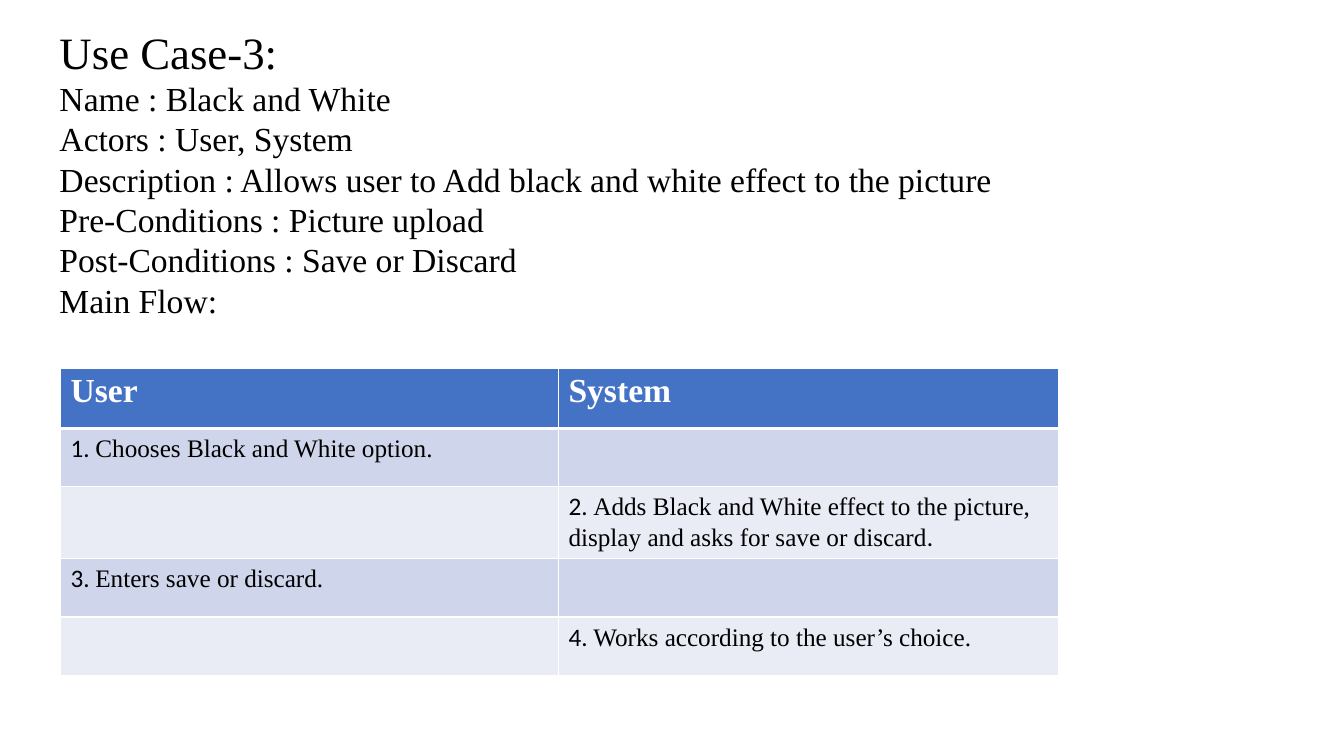
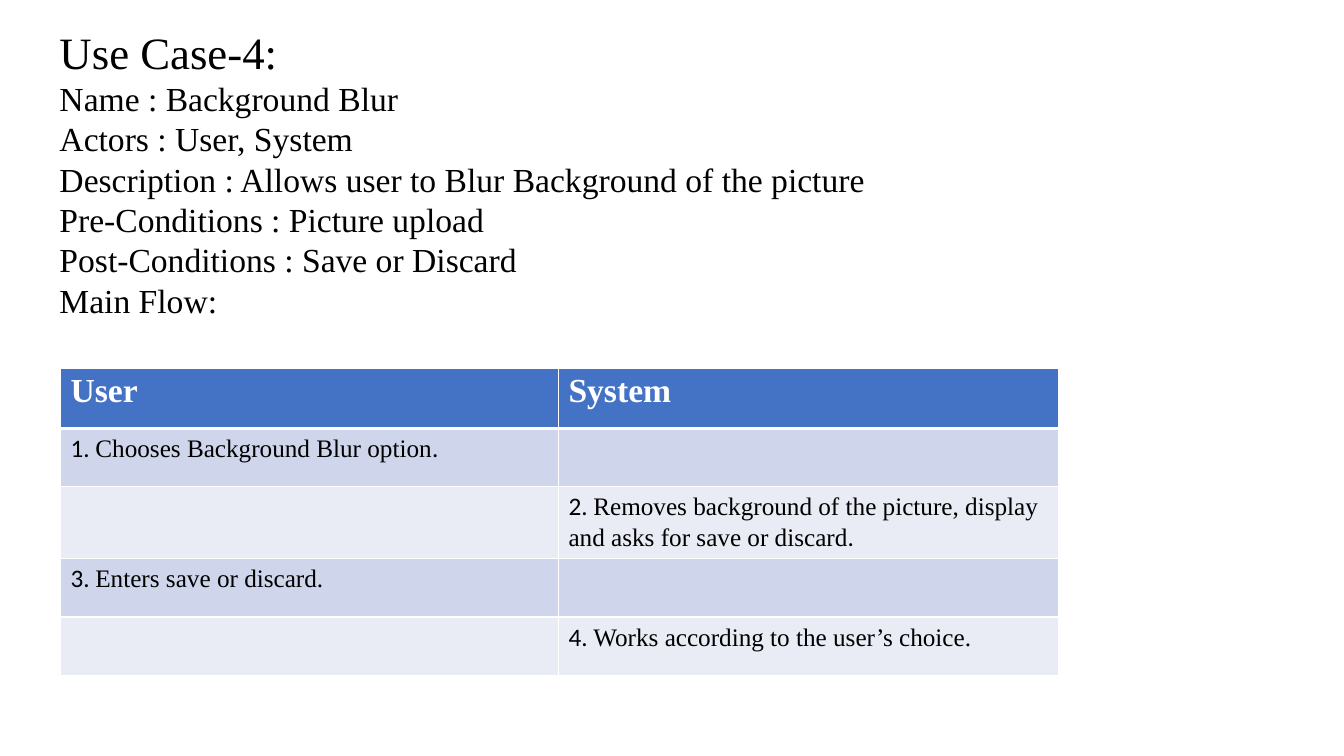
from pptx import Presentation
from pptx.dml.color import RGBColor
from pptx.enum.text import MSO_ANCHOR, MSO_AUTO_SIZE, PP_ALIGN
from pptx.oxml import parse_xml
from pptx.oxml.ns import nsdecls
from pptx.util import Pt

COLORS = {"text": "000000", "white": "FFFFFF", "header": "4472C4",
          "odd": "CFD5EA", "even": "E9EBF5"}
SERIF, SANS = "Times New Roman", "Calibri"
STEP_FONTS = (SANS, SERIF, SANS)
LINE_FACTOR = 1.2
LEFT, TEXT_WIDTH = 35.3, 900
COLUMNS = (355.7, 357.1)
HEADER_HEIGHT, ROW_HEIGHT = 43.2, 41.8

USE_CASES = [
    {"number": 3, "name": "Black and White",
     "goal": "Add black and white effect to the picture",
     "choice": ("Chooses Black and White option.",),
     "response": "Adds Black and White effect to the picture, "
                 "display and asks for save or discard"},
    {"number": 4, "name": "Background Blur",
     "goal": "Blur Background of the picture",
     "choice": ("Chooses Background Blur option", "."),
     "response": "Removes background of the picture, "
                 "display and asks for save or discard"},
]


def add_run(p, text, size, font=SERIF, color="text", bold=False):
    r = p.add_run()
    r.text = text
    r.font.name = font
    r.font.size = Pt(size)
    r.font.bold = bold
    r.font.color.rgb = RGBColor.from_string(COLORS[color])


def fill_placeholder(sp, top, height, lines, size, inset_top=0):
    sp.left, sp.top = Pt(LEFT), Pt(top)
    sp.width, sp.height = Pt(TEXT_WIDTH), Pt(height)
    tf = sp.text_frame
    tf.word_wrap = True
    tf.auto_size = MSO_AUTO_SIZE.NONE
    tf.vertical_anchor = MSO_ANCHOR.TOP
    tf.margin_left = tf.margin_right = Pt(7.2)
    tf.margin_top, tf.margin_bottom = Pt(inset_top), Pt(0)
    for i, line in enumerate(lines):
        p = tf.add_paragraph() if i else tf.paragraphs[0]
        p.alignment = PP_ALIGN.LEFT
        p.line_spacing = Pt(size * LINE_FACTOR)
        p.space_before = p.space_after = Pt(0)
        pPr = p._p.get_or_add_pPr()
        pPr.set("marL", "0")
        pPr.set("indent", "0")
        pPr.append(parse_xml(f"<a:buNone {nsdecls('a')}/>"))
        add_run(p, line, size)


def set_borders(cell, top, bottom):
    tcPr = cell._tc.get_or_add_tcPr()
    widths = {"lnL": 1, "lnR": 1, "lnT": top, "lnB": bottom}
    for i, (tag, width) in enumerate(widths.items()):
        tcPr.insert(i, parse_xml(
            f'<a:{tag} {nsdecls("a")} w="{Pt(width)}"><a:solidFill>'
            f'<a:srgbClr val="{COLORS["white"]}"/></a:solidFill></a:{tag}>'))


def add_flow_table(s, steps):
    rows = len(steps) + 1
    table = s.shapes.add_table(
        rows, len(COLUMNS), Pt(43.2), Pt(262.8), Pt(sum(COLUMNS)),
        Pt(HEADER_HEIGHT + ROW_HEIGHT * len(steps))).table
    for column, width in zip(table.columns, COLUMNS):
        column.width = Pt(width)
    for i, row in enumerate(table.rows):
        row.height = Pt(ROW_HEIGHT if i else HEADER_HEIGHT)
        band = "header" if i == 0 else "odd" if i % 2 else "even"
        for cell in row.cells:
            cell.fill.solid()
            cell.fill.fore_color.rgb = RGBColor.from_string(COLORS[band])
            set_borders(cell, top=3 if i == 1 else 1, bottom=1 if i else 3)
    for j, heading in enumerate(("User", "System")):
        p = table.cell(0, j).text_frame.paragraphs[0]
        add_run(p, heading, 24, color="white", bold=True)
    for i, step in enumerate(steps, 1):
        p = table.cell(i, (i - 1) % 2).text_frame.paragraphs[0]
        for text, font in zip((f"{i}. ", *step), STEP_FONTS):
            add_run(p, text, 18, font)


def add_use_case(prs, case):
    s = prs.slides.add_slide(prs.slide_layouts[1])
    details = [
        f"Name : {case['name']}",
        "Actors : User, System",
        f"Description : Allows user to {case['goal']}",
        "Pre-Conditions : Picture upload",
        "Post-Conditions : Save or Discard",
        "Main Flow:",
    ]
    fill_placeholder(s.shapes.title, 13.7, 42,
                     [f"Use Case-{case['number']}:"], 32, inset_top=3.6)
    fill_placeholder(s.placeholders[1], 55.7, 174, details, 24)
    add_flow_table(s, [
        case["choice"],
        (case["response"], "."),
        ("Enters save or discard.",),
        ("Works according to the user’s choice.",),
    ])


def main():
    prs = Presentation()
    prs.slide_width, prs.slide_height = Pt(960), Pt(540)
    for case in USE_CASES:
        add_use_case(prs, case)
    prs.save("out.pptx")


main()
